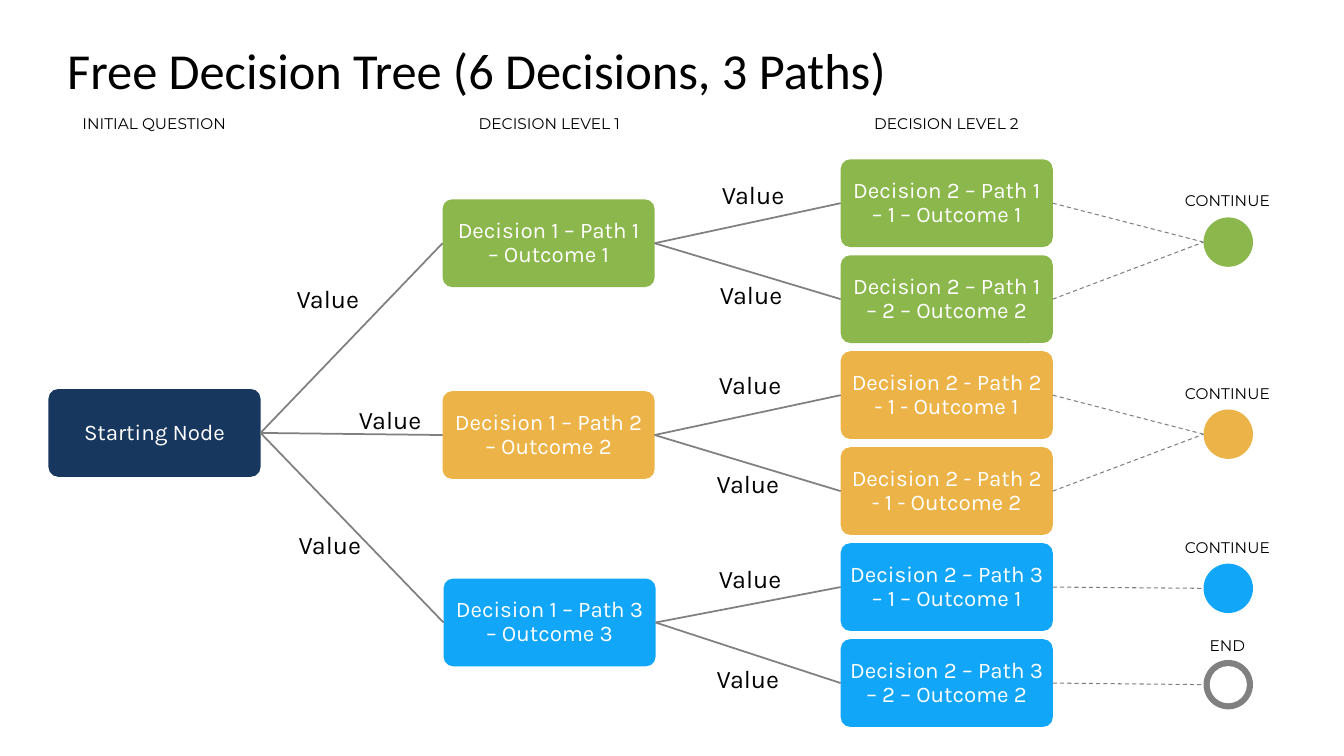
from lxml.etree import SubElement
from pptx import Presentation
from pptx.dml.color import RGBColor
from pptx.enum.dml import MSO_LINE
from pptx.enum.shapes import MSO_CONNECTOR, MSO_SHAPE
from pptx.enum.text import MSO_ANCHOR, MSO_AUTO_SIZE, PP_ALIGN
from pptx.oxml.ns import qn
from pptx.util import Pt

COLORS = {
    "navy": "17375E", "green": "8BB74C", "amber": "ECB448", "blue": "12A6F8",
    "gray": "808080", "white": "FFFFFF", "black": "000000",
}
NODE_W, NODE_H = 151.5, 62.7
LEVEL_2_LEFT, LEVEL_2_TOP, LEVEL_2_STEP = 600.5, 113.8, 68.55
END_LEFT, END_SIZE, RING = 859.7, 35.3, 4.4

prs = Presentation()
prs.slide_width, prs.slide_height = Pt(960), Pt(540)
slide = prs.slides.add_slide(prs.slide_layouts[5])
shapes = slide.shapes


def write(holder, text, size, font, color, align):
    frame = holder.text_frame
    frame.text = text
    frame.word_wrap = True
    paragraph = frame.paragraphs[0]
    paragraph.alignment = align
    run_font = paragraph.runs[0].font
    run_font.size, run_font.name = Pt(size), font
    run_font.color.rgb = RGBColor.from_string(COLORS[color])
    return frame


def paint(kind, left, top, width, height, color):
    block = shapes.add_shape(kind, Pt(left), Pt(top), Pt(width), Pt(height))
    block.shadow.inherit = False
    block.fill.solid()
    block.fill.fore_color.rgb = RGBColor.from_string(COLORS[color])
    block.line.fill.background()
    return block


title = shapes.title
title.left, title.top, title.width, title.height = Pt(48), Pt(21.6), Pt(864), Pt(56.2)
heading = write(title, "Free Decision Tree (6 Decisions, 3 Paths)", 36, "Calibri", "black", PP_ALIGN.LEFT)
heading.auto_size = MSO_AUTO_SIZE.NONE
heading.vertical_anchor = MSO_ANCHOR.MIDDLE
heading.margin_left = heading.margin_right = heading.margin_top = heading.margin_bottom = 0

decisions = [
    ("Starting Node", 34.6, 277.9, "navy"),
    ("Decision 1 – Path 1 – Outcome 1", 316.1, 142.4, "green"),
    ("Decision 1 – Path 2 – Outcome 2", 316.1, 279.4, "amber"),
    ("Decision 1 – Path 3 – Outcome 3", 316.8, 413.3, "blue"),
]
outcomes = [
    ("Decision 2 – Path 1 – 1 – Outcome 1", "green"),
    ("Decision 2 – Path 1 – 2 – Outcome 2", "green"),
    ("Decision 2 - Path 2 - 1 - Outcome 1", "amber"),
    ("Decision 2 - Path 2 - 1 - Outcome 2", "amber"),
    ("Decision 2 – Path 3 – 1 – Outcome 1", "blue"),
    ("Decision 2 – Path 3 – 2 – Outcome 2", "blue"),
]
for row, (wording, color) in enumerate(outcomes):
    decisions.append((wording, LEVEL_2_LEFT, LEVEL_2_TOP + row * LEVEL_2_STEP, color))

nodes = []
for wording, left, top, color in decisions:
    node = paint(MSO_SHAPE.ROUNDED_RECTANGLE, left, top, NODE_W, NODE_H, color)
    node.adjustments[0] = 0.11
    frame = write(node, wording, 16, "Karla", "white", PP_ALIGN.CENTER)
    frame.vertical_anchor = MSO_ANCHOR.MIDDLE
    frame.margin_left = frame.margin_right = Pt(4)
    frame.paragraphs[0].line_spacing = 0.9
    nodes.append(node)
start, level_1, level_2 = nodes[0], nodes[1:4], nodes[4:]

branches = [(start, path) for path in level_1]
branches += [(level_1[row // 2], outcome) for row, outcome in enumerate(level_2)]
edges = []
for parent, child in branches:
    branch = shapes.add_connector(MSO_CONNECTOR.STRAIGHT, 0, 0, 0, 0)
    branch.begin_connect(parent, 3)
    branch.end_connect(child, 1)
    branch.line.width = Pt(1.25)
    edges.append(branch)

endpoints = [
    ("CONTINUE", 155.3, 133.3, "green", level_2[0:2]),
    ("CONTINUE", 292.5, 270.6, "amber", level_2[2:4]),
    ("CONTINUE", 402.6, 380.9, "blue", level_2[4:5]),
    ("END", 471.4, 450.5, "gray", level_2[5:6]),
]
captions = [
    ("INITIAL QUESTION", 42.5, 78),
    ("DECISION LEVEL 1", 324.7, 78.3),
    ("DECISION LEVEL 2", 608.4, 78.3),
]
for wording, top, caption_top, color, sources in endpoints:
    paint(MSO_SHAPE.OVAL, END_LEFT, top, END_SIZE, END_SIZE, color)
    captions.append((wording, 809, caption_top))
    for source in sources:
        exit_line = shapes.add_connector(
            MSO_CONNECTOR.STRAIGHT, 0, 0, Pt(END_LEFT), Pt(top + END_SIZE / 2))
        exit_line.begin_connect(source, 3)
        exit_line.line.width = Pt(0.75)
        exit_line.line.dash_style = MSO_LINE.DASH
        edges.append(exit_line)
hole = END_SIZE - 2 * RING
paint(MSO_SHAPE.OVAL, END_LEFT + RING, endpoints[-1][1] + RING, hole, hole, "white")

for edge in edges:
    edge.line.color.rgb = RGBColor.from_string(COLORS["gray"])
    SubElement(edge.element.spPr, qn("a:effectLst"))

values = [
    (139, 198.7, 124.6), (224.6, 285.1, 83.5), (140.4, 374.4, 124.6),
    (468.7, 124.6, 98.6), (467.3, 195.8, 98.6), (466.6, 259.9, 98.6),
    (465.1, 331.2, 98.6), (466.6, 398.9, 98.6), (465.1, 470.2, 98.6),
]
labels = [("Value", left, top, width, 29, 18, "Karla", PP_ALIGN.RIGHT) for left, top, width in values]
labels += [(wording, left, top, 135.4, 20.9, 11, "Montserrat", PP_ALIGN.CENTER)
           for wording, left, top in captions]
for wording, left, top, width, height, size, font, align in labels:
    label = shapes.add_textbox(Pt(left), Pt(top), Pt(width), Pt(height))
    write(label, wording, size, font, "black", align).auto_size = MSO_AUTO_SIZE.SHAPE_TO_FIT_TEXT

prs.save("out.pptx")
